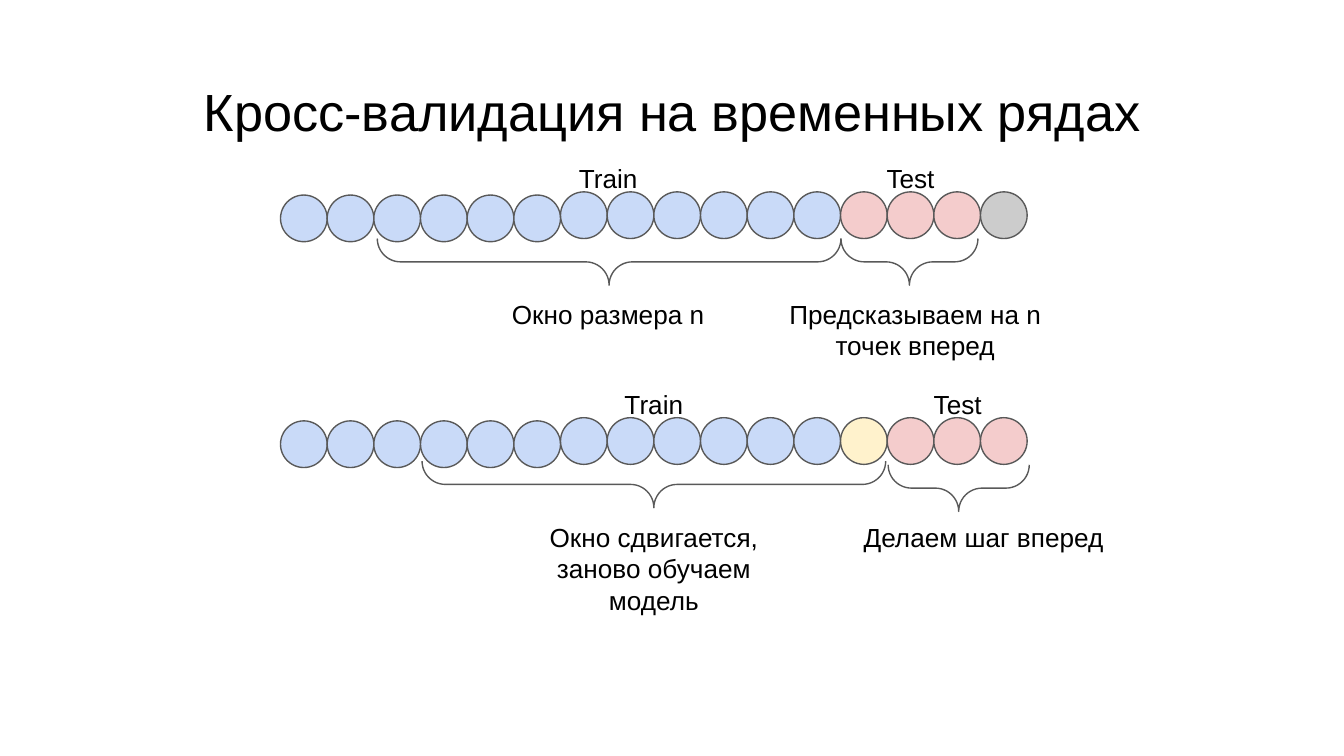
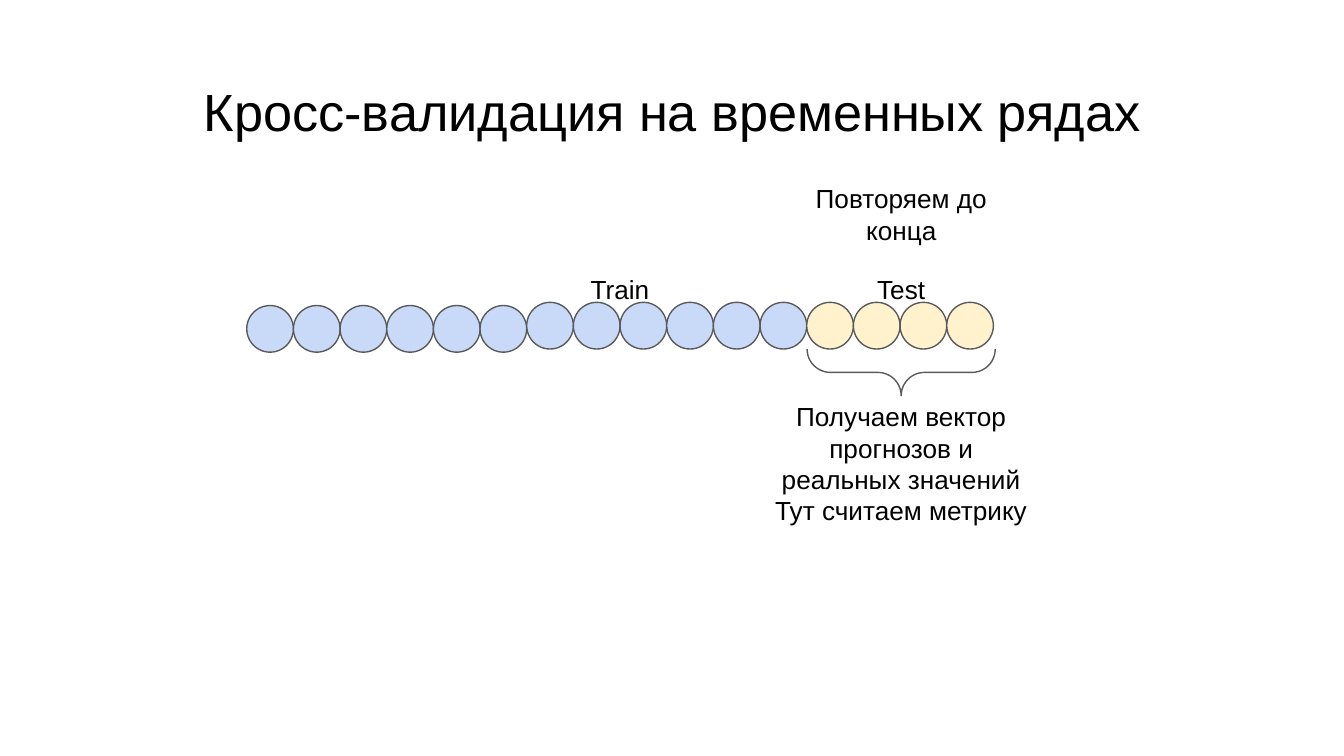
from dataclasses import dataclass

from pptx import Presentation
from pptx.dml.color import RGBColor
from pptx.enum.shapes import MSO_SHAPE
from pptx.enum.text import MSO_ANCHOR, PP_ALIGN
from pptx.util import Pt

OVAL = MSO_SHAPE.OVAL
LEFT_BRACE = MSO_SHAPE.LEFT_BRACE
CENTER = PP_ALIGN.CENTER
TOP = MSO_ANCHOR.TOP


@dataclass(frozen=True)
class Theme:
    font: str = "Arial"
    title_size: float = 28
    body_size: float = 14
    text: str = "000000"
    outline: str = "595959"
    outline_width: float = 0.75
    background: str = "FFFFFF"
    train: str = "C9DAF8"
    test: str = "F4CCCC"
    passed: str = "FFF2CC"
    unused: str = "CCCCCC"


THEME = Theme()
SLIDE_WIDTH, SLIDE_HEIGHT = 720, 405
INSET = 7.2
TITLE = "Кросс-валидация на временных рядах"

POINT = 25            # diameter and pitch of the points in a series
LOWERED_POINTS = 6    # the first points sit slightly lower
LOWERED_BY = 1.7
LABEL_WIDTH, LABEL_HEIGHT = 64, 23
BRACE_DEPTH = 25


def color(value):
    return RGBColor.from_string(value)


def add_text(slide, text, left, top, width, height, *, size=THEME.body_size,
             align=CENTER, anchor=TOP):
    """Add a text box; each line of the text is a paragraph."""
    box = slide.shapes.add_textbox(Pt(left), Pt(top), Pt(width), Pt(height))
    frame = box.text_frame
    frame.word_wrap = True
    frame.vertical_anchor = anchor
    frame.margin_left = frame.margin_right = Pt(INSET)
    frame.margin_top = frame.margin_bottom = Pt(INSET)
    frame.text = text
    for paragraph in frame.paragraphs:
        paragraph.alignment = align
        font = paragraph.runs[0].font
        font.name = THEME.font
        font.size = Pt(size)
        font.color.rgb = color(THEME.text)
    return box


def add_outlined(slide, kind, left, top, width, height, fill=None):
    shape = slide.shapes.add_shape(kind, Pt(left), Pt(top), Pt(width), Pt(height))
    shape.shadow.inherit = False
    if fill:
        shape.fill.solid()
        shape.fill.fore_color.rgb = color(fill)
    else:
        shape.fill.background()
    shape.line.color.rgb = color(THEME.outline)
    shape.line.width = Pt(THEME.outline_width)
    return shape


def add_brace(slide, left, top, width):
    """Add a brace that opens upwards, filling the box given."""
    # The unrotated shape shares its centre with the visible box
    brace = add_outlined(slide, LEFT_BRACE,
                         left + (width - BRACE_DEPTH) / 2,
                         top + (BRACE_DEPTH - width) / 2,
                         BRACE_DEPTH, width)
    brace.rotation = 270
    brace.adjustments[0] = 0.5
    brace.adjustments[1] = 0.5


def add_series(slide, left, top, groups, labels, braces, captions):
    """Draw a time series; every position is relative to its left and top."""
    # Points
    fills = [fill for fill, count in groups for _ in range(count)]
    for index, fill in enumerate(fills):
        drop = LOWERED_BY if index < LOWERED_POINTS else 0
        add_outlined(slide, OVAL, left + index * POINT, top + drop,
                     POINT, POINT, fill)
    # Labels above, given by their centres
    for text, center in labels:
        add_text(slide, text, left + center - LABEL_WIDTH / 2,
                 top - LABEL_HEIGHT, LABEL_WIDTH, LABEL_HEIGHT)
    # Braces below
    for x, y, width in braces:
        add_brace(slide, left + x, top + y, width)
    # Captions, given by their centres
    for text, center, y, width, height in captions:
        add_text(slide, text, left + center - width / 2, top + y, width, height)


def add_titled_slide(presentation):
    slide = presentation.slides.add_slide(presentation.slide_layouts[6])
    slide.background.fill.solid()
    slide.background.fill.fore_color.rgb = color(THEME.background)
    add_text(slide, TITLE, 24.5, 35, 671, 45.4, size=THEME.title_size)
    return slide


def build_window_slide(presentation):
    slide = add_titled_slide(presentation)
    left = 150.3
    # First window
    add_series(
        slide, left, 102.8,
        groups=[(THEME.train, 12), (THEME.test, 3), (THEME.unused, 1)],
        labels=[("Train", 175.5), ("Test", 337.5)],
        braces=[(51.8, 25, 248.4), (300.2, 25, 73.4)],
        captions=[("Окно размера n", 175.5, 49.8, 140.4, 25),
                  ("Предсказываем на n точек вперед", 340, 49.8, 158.4, 59.8)],
    )
    # Window moved one step
    add_series(
        slide, left, 223.8,
        groups=[(THEME.train, 12), (THEME.passed, 1), (THEME.test, 3)],
        labels=[("Train", 200), ("Test", 362.8)],
        braces=[(75.8, 23.2, 248.4), (325.5, 25.2, 75.6)],
        captions=[("Окно сдвигается, заново обучаем модель", 200, 48.3, 140.4, 25),
                  ("Делаем шаг вперед", 376.7, 48.3, 158.4, 59.8)],
    )


def build_metric_slide(presentation):
    slide = add_titled_slide(presentation)
    add_series(
        slide, 132.2, 162,
        groups=[(THEME.train, 12), (THEME.passed, 4)],
        labels=[("Train", 200), ("Test", 350.6)],
        braces=[(300.2, 25, 100.8)],
        captions=[("Повторяем до конца", 350.6, -71.3, 140.4, 45.4),
                  ("Получаем вектор прогнозов и реальных значений\n"
                   "Тут считаем метрику", 350.6, 45.4, 158.4, 74.2)],
    )


def main():
    presentation = Presentation()
    presentation.slide_width = Pt(SLIDE_WIDTH)
    presentation.slide_height = Pt(SLIDE_HEIGHT)
    build_window_slide(presentation)
    build_metric_slide(presentation)
    presentation.save("out.pptx")


if __name__ == "__main__":
    main()
